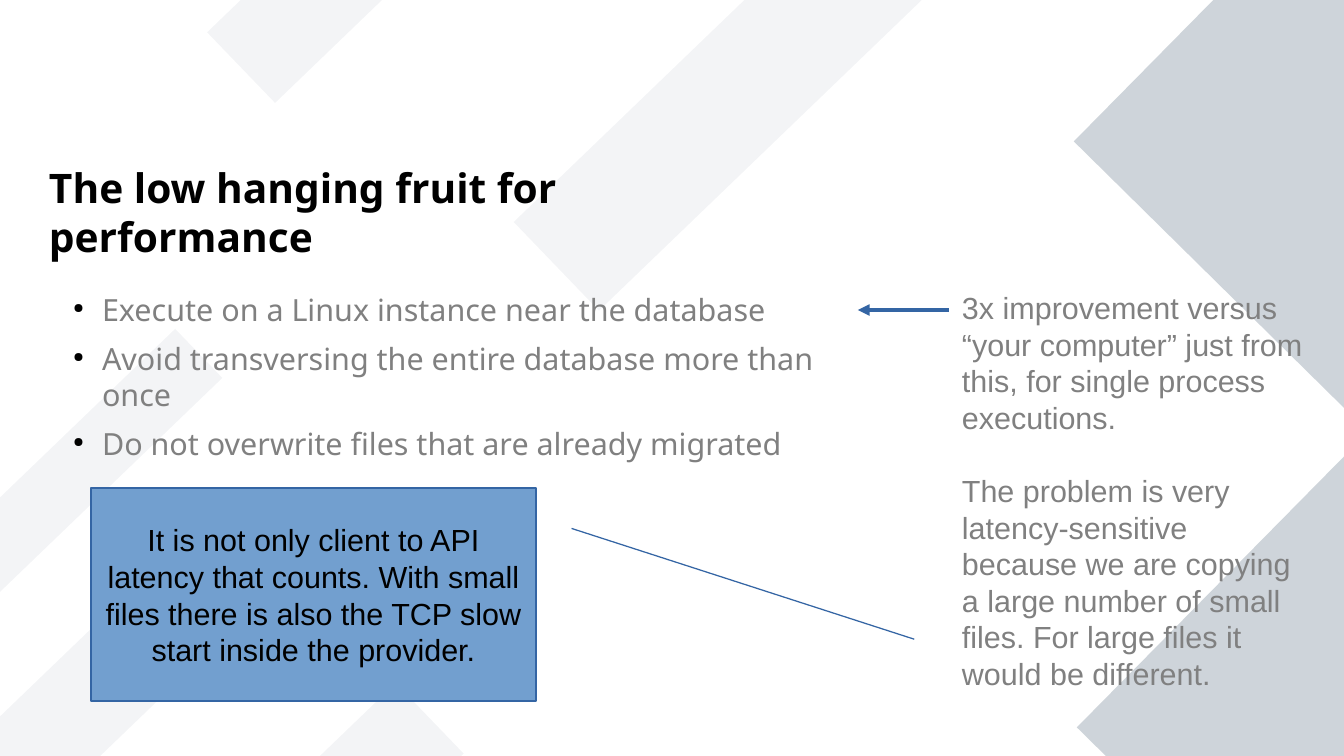
from lxml import etree
from pptx import Presentation
from pptx.dml.color import RGBColor
from pptx.enum.shapes import MSO_CONNECTOR, MSO_SHAPE
from pptx.enum.text import MSO_ANCHOR, PP_ALIGN
from pptx.oxml.ns import qn
from pptx.util import Emu, Pt

RECT = MSO_SHAPE.RECTANGLE
CALLOUT = MSO_SHAPE.LINE_CALLOUT_1
STRAIGHT = MSO_CONNECTOR.STRAIGHT
TOP, MIDDLE = MSO_ANCHOR.TOP, MSO_ANCHOR.MIDDLE
LEFT, CENTER = PP_ALIGN.LEFT, PP_ALIGN.CENTER

PX = 914400 / 122
COLORS = {
    "diamond": "CED4DA",
    "stripe": "8D99AE",
    "line": "3465A4",
    "callout": "729FCF",
    "gray": "808080",
    "black": "000000",
}


def px(n):
    return Emu(round(n * PX))


def color(name):
    return RGBColor.from_string(COLORS[name])


def add_xml(parent, tag, **attrs):
    return etree.SubElement(parent, qn(tag), **attrs)


class SlideBuilder:
    def __init__(self, slide):
        self.slide = slide
        self.body_font, self.note_font = "Noto Sans", "Arial"
        self.bullet_indent = 29

    def shape(self, kind, box, fill, rotation=0, alpha=None):
        sp = self.slide.shapes.add_shape(kind, *map(px, box))
        sp.shadow.inherit = False
        sp.rotation = rotation
        sp.fill.solid()
        sp.fill.fore_color.rgb = color(fill)
        sp.line.fill.background()
        if alpha is not None:
            clr = sp._element.spPr.find(qn("a:solidFill")).find(qn("a:srgbClr"))
            add_xml(clr, "a:alpha", val=str(alpha * 1000))
        return sp

    def fill_text(self, sp, texts, font, fill, size=18, bold=False, gap=0,
                  align=LEFT, anchor=TOP, bullets=False):
        tf = sp.text_frame
        tf.word_wrap = True
        tf.vertical_anchor = anchor
        for i, text in enumerate(texts):
            p = tf.add_paragraph() if i else tf.paragraphs[0]
            p.alignment = align
            p.space_before = Pt(gap if i else 0)
            if bullets:
                self.bullet(p)
            r = p.add_run()
            r.text = text
            r.font.name, r.font.size, r.font.bold = font, Pt(size), bold
            r.font.color.rgb = color(fill)

    def bullet(self, p):
        pPr = p._p.get_or_add_pPr()
        indent = px(self.bullet_indent)
        pPr.set("marL", str(indent))
        pPr.set("indent", str(-indent))
        clr = add_xml(pPr, "a:buClr")
        add_xml(clr, "a:srgbClr", val=COLORS["black"])
        add_xml(pPr, "a:buSzPct", val="45000")
        add_xml(pPr, "a:buChar", char="●")

    def text(self, box, texts, font, fill, **style):
        sp = self.slide.shapes.add_textbox(*map(px, box))
        self.fill_text(sp, texts, font, fill, **style)

    def arrow(self, x1, y1, x2, y2):
        line = self.slide.shapes.add_connector(STRAIGHT, *map(px, (x1, y1, x2, y2)))
        line.line.color.rgb = color("line")
        line.line.width = Pt(2.3)
        spPr = line._element.spPr
        add_xml(spPr.find(qn("a:ln")), "a:tailEnd", type="triangle")
        add_xml(spPr, "a:effectLst")

    def callout(self, box, texts, adjustments):
        sp = self.shape(CALLOUT, box, "callout")
        sp._element.spPr.find(qn("a:xfrm")).set("flipH", "1")
        for i, value in enumerate(adjustments):
            sp.adjustments[i] = value
        sp.line.color.rgb = color("line")
        sp.line.width = Pt(0)
        self.fill_text(sp, texts, self.note_font, "black", align=CENTER, anchor=MIDDLE)


def main():
    prs = Presentation()
    prs.slide_width, prs.slide_height = px(1344), px(756)
    s = SlideBuilder(prs.slides.add_slide(prs.slide_layouts[6]))

    # Background diamonds and stripes
    for x, y in ((1154, -54), (1157, 532)):
        s.shape(RECT, (x, y, 387, 387), "diamond", rotation=314.6)
    stripes = (
        (133, 789, 345, 98),
        (-173, 736, 345, 98),
        (492, 45, 461, 123),
        (193, -101, 345, 98),
        (-98, 439, 345, 68),
    )
    for box in stripes:
        s.shape(RECT, box, "stripe", rotation=316.1, alpha=10)

    # Bullets and title
    s.text((61, 285, 824, 267), (
        "Execute on a Linux instance near the database",
        "Avoid transversing the entire database more than once",
        "Do not overwrite files that are already migrated",
    ), s.body_font, "gray", gap=7.2, bullets=True)
    s.text((37, 157, 787, 87), ("The low hanging fruit for performance",),
           s.body_font, "black", size=24, bold=True)

    # Side notes with arrow
    s.arrow(949, 310, 858, 310)
    s.text((950, 283, 366, 388), (
        "3x improvement versus “your computer” just from this, "
        "for single process executions.",
        "The problem is very latency-sensitive because we are copying a large "
        "number of small files. For large files it would be different.",
    ), s.note_font, "gray", gap=21.6)

    # Latency callout
    s.callout((91, 488, 445, 213), (
        "It is not only client to API latency that counts. With small files "
        "there is also the TCP slow start inside the provider.",
    ), (0.19, -0.08, 0.71, -0.85))

    prs.save("out.pptx")


if __name__ == "__main__":
    main()
